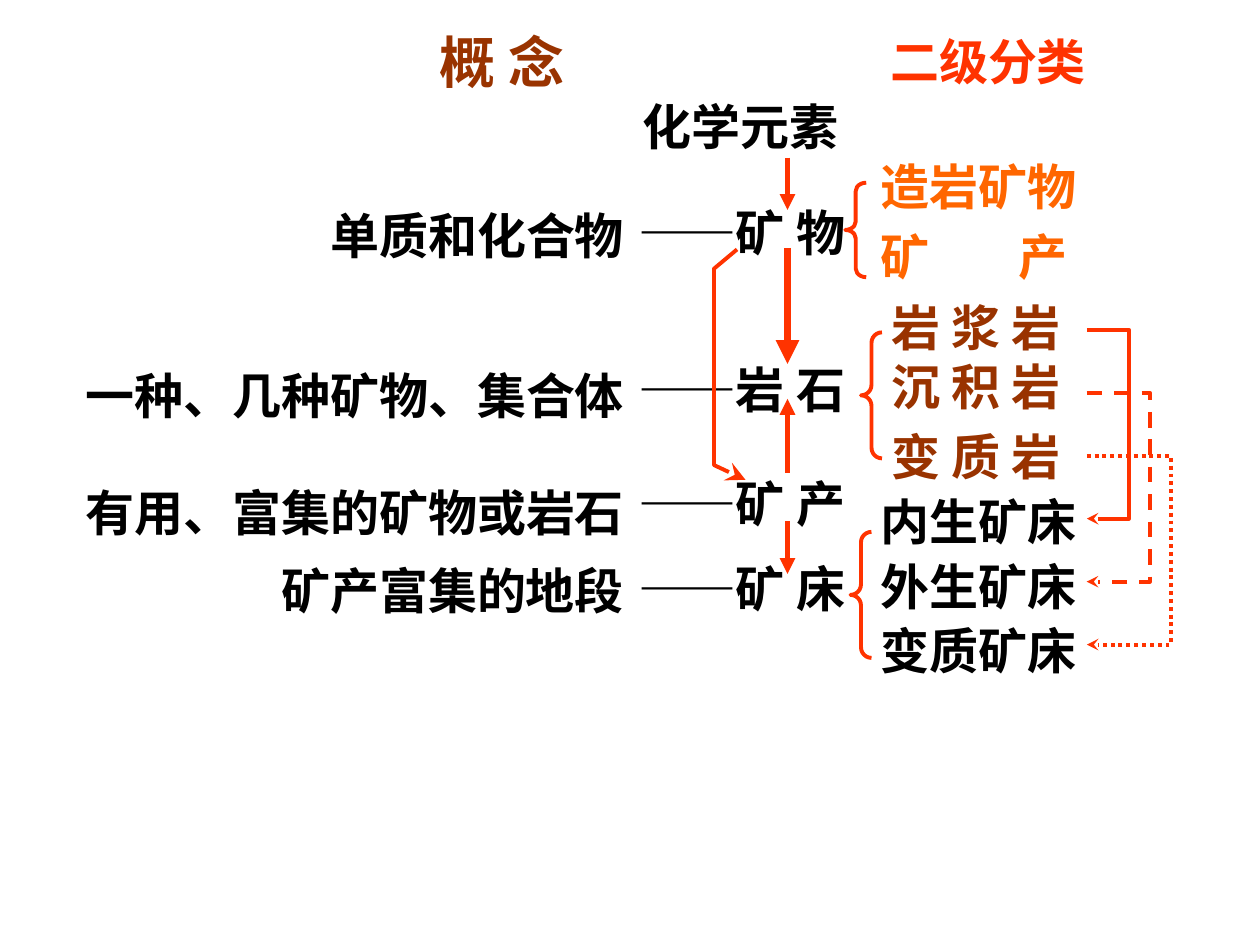
from lxml import etree
from pptx import Presentation
from pptx import util as u
from pptx.dml.color import RGBColor
from pptx.enum import dml, shapes, text
from pptx.oxml.ns import qn

BLACK = RGBColor(0x00, 0x00, 0x00)
BROWN = RGBColor(0x99, 0x33, 0x00)
RED = RGBColor(0xFF, 0x33, 0x00)
ORANGE = RGBColor(0xFF, 0x66, 0x00)

COLS, ROWS = 60, 45
LEFT, RIGHT = text.PP_ALIGN.LEFT, text.PP_ALIGN.RIGHT


class Board:
    """Holds the style and the current slide; lengths are grid columns and rows."""

    font = "Times New Roman"
    size = 28
    line_width = 2.25

    def __init__(self, prs):
        self.slide = prs.slides.add_slide(prs.slide_layouts[5])
        self.col = prs.slide_width / COLS
        self.row = prs.slide_height / ROWS

    def xy(self, x, y):
        return u.Emu(round(x * self.col)), u.Emu(round(y * self.row))

    def fill_text(self, sp, lines, size=None, align=LEFT):
        """Each line is a dict: text, colour, and optional spacing, before, indent, tab."""
        tf = sp.text_frame
        tf.word_wrap = False
        tf.auto_size = text.MSO_AUTO_SIZE.SHAPE_TO_FIT_TEXT
        tf.vertical_anchor = text.MSO_ANCHOR.TOP
        tf.margin_left = tf.margin_right = u.Inches(0.1)
        tf.margin_top = tf.margin_bottom = u.Inches(0.05)
        tf.text = "\n".join(line["text"] for line in lines)
        for p, line in zip(tf.paragraphs, lines):
            p.alignment = align
            if "spacing" in line:
                p.line_spacing = line["spacing"]
            if "before" in line:
                p.space_before = u.Pt(line["before"])
            pPr = p._p.get_or_add_pPr()
            if "indent" in line:
                pPr.set("marL", str(u.Pt(line["indent"])))
            if "tab" in line:
                tabs = etree.SubElement(pPr, qn("a:tabLst"))
                etree.SubElement(tabs, qn("a:tab"), pos=str(u.Inches(line["tab"])), algn="l")
            for r in p.runs:
                r.font.name = self.font
                r.font.size = u.Pt(size or self.size)
                r.font.bold = True
                r.font.color.rgb = line["colour"]

    def title(self, wording, colour, x, y, w, h, size):
        sp = self.slide.shapes.title
        sp.left, sp.top = self.xy(x, y)
        sp.width, sp.height = self.xy(w, h)
        self.fill_text(sp, [dict(text=wording, colour=colour)], size)

    def box(self, lines, x, y, w, h=3.4, align=LEFT):
        sp = self.slide.shapes.add_textbox(*self.xy(x, y), *self.xy(w, h))
        self.fill_text(sp, lines, align=align)

    def stroke(self, sp, width=None, dash=None, head=None, head_size="med"):
        sp.line.color.rgb = RED
        sp.line.width = u.Pt(width or self.line_width)
        if dash:
            sp.line.dash_style = dash
        if head:
            etree.SubElement(sp.line._get_or_add_ln(), qn("a:tailEnd"),
                             type=head, w=head_size, len=head_size)

    def arrow(self, x, start, end, width=3):
        sp = self.slide.shapes.add_connector(
            shapes.MSO_CONNECTOR.STRAIGHT, *self.xy(x, start), *self.xy(x, end))
        self.stroke(sp, width, head="triangle")
        etree.SubElement(sp._element.spPr, qn("a:effectLst"))

    def route(self, points, dash=None, head_size="med"):
        start, *rest = [self.xy(*point) for point in points]
        builder = self.slide.shapes.build_freeform(*start)
        builder.add_line_segments(rest, close=False)
        sp = builder.convert_to_shape()
        sp.shadow.inherit = False
        sp.fill.background()
        self.stroke(sp, dash=dash, head="stealth", head_size=head_size)

    def brace(self, x, y, h, bend):
        sp = self.slide.shapes.add_shape(
            shapes.MSO_SHAPE.LEFT_BRACE, *self.xy(x, y), *self.xy(1, h))
        sp.adjustments[0] = bend
        sp.shadow.inherit = False
        sp.fill.background()
        self.stroke(sp)


def main():
    prs = Presentation()
    prs.slide_width, prs.slide_height = u.Inches(10), u.Inches(7.5)
    s = Board(prs)

    # Column headings
    s.title("概 念", BROWN, 20.33, 1, 7.15, 3.85, size=32)
    s.box([dict(text="二级分类", colour=RED)], 41.8, 1.2, 10.5)

    # Central chain of terms
    s.box([dict(text="化学元素", colour=BLACK)], 30, 4.3, 10.5)
    for term, y in (("矿 物", 9.33), ("岩 石", 16.8), ("矿 产", 22.25), ("矿 床", 26.3)):
        s.box([dict(text="——" + term, colour=BLACK)], 29.8, y, 11.05)

    # Definitions on the left, with room for the longest on one line
    s.box([
        dict(text="单质和化合物", colour=BLACK),
        dict(text="一种、几种矿物、集合体", colour=BLACK, before=57.6),
        dict(text="有用、富集的矿物或岩石", colour=BLACK, before=33.4),
        dict(text="矿产富集的地段", colour=BLACK, before=11),
    ], 3, 9.5, 27.3, 20.35, RIGHT)

    # Second-level classes on the right
    rocks = [dict(text=name, colour=BROWN, spacing=gap, indent=6)
             for name, gap in (("岩 浆 岩", 1.2), ("沉 积 岩", 1.0), ("变 质 岩", 1.2))]
    deposits = [dict(text=name, colour=BLACK, spacing=1.1)
                for name in ("内生矿床", "外生矿床", "变质矿床")]
    s.box([
        dict(text="造岩矿物", colour=ORANGE),
        dict(text="矿\t产", colour=ORANGE, spacing=1.2, tab=1.09),
        *rocks, *deposits,
    ], 41.35, 7.15, 10.5, 25.55)

    # Arrows along the chain
    s.arrow(37.5, 7.5, 10)
    s.arrow(37.5, 11.8, 17.33, width=4.5)
    s.arrow(37.5, 22.5, 19)
    s.arrow(37.5, 24.83, 27.33)

    # Bypass from mineral to ore
    s.route([(35.1, 11.88), (34, 12.8), (34, 22.15), (35.5, 22.85)], head_size="lg")

    # Braces opening the classes
    s.brace(40.25, 8.7, 4.5, 0.4)
    s.brace(41, 15.83, 6, 0.5)
    s.brace(40.5, 25.33, 6, 0.5)

    # Links from each rock class to its deposit class
    edge, first, drop = 51.75, 15.7, 9
    for i, dash in enumerate((None, dml.MSO_LINE.DASH, dml.MSO_LINE.ROUND_DOT)):
        top, far = first + 3 * i, edge + 2 + i
        s.route([(edge, top), (far, top), (far, top + drop), (edge, top + drop)], dash)

    prs.save("out.pptx")


if __name__ == "__main__":
    main()
